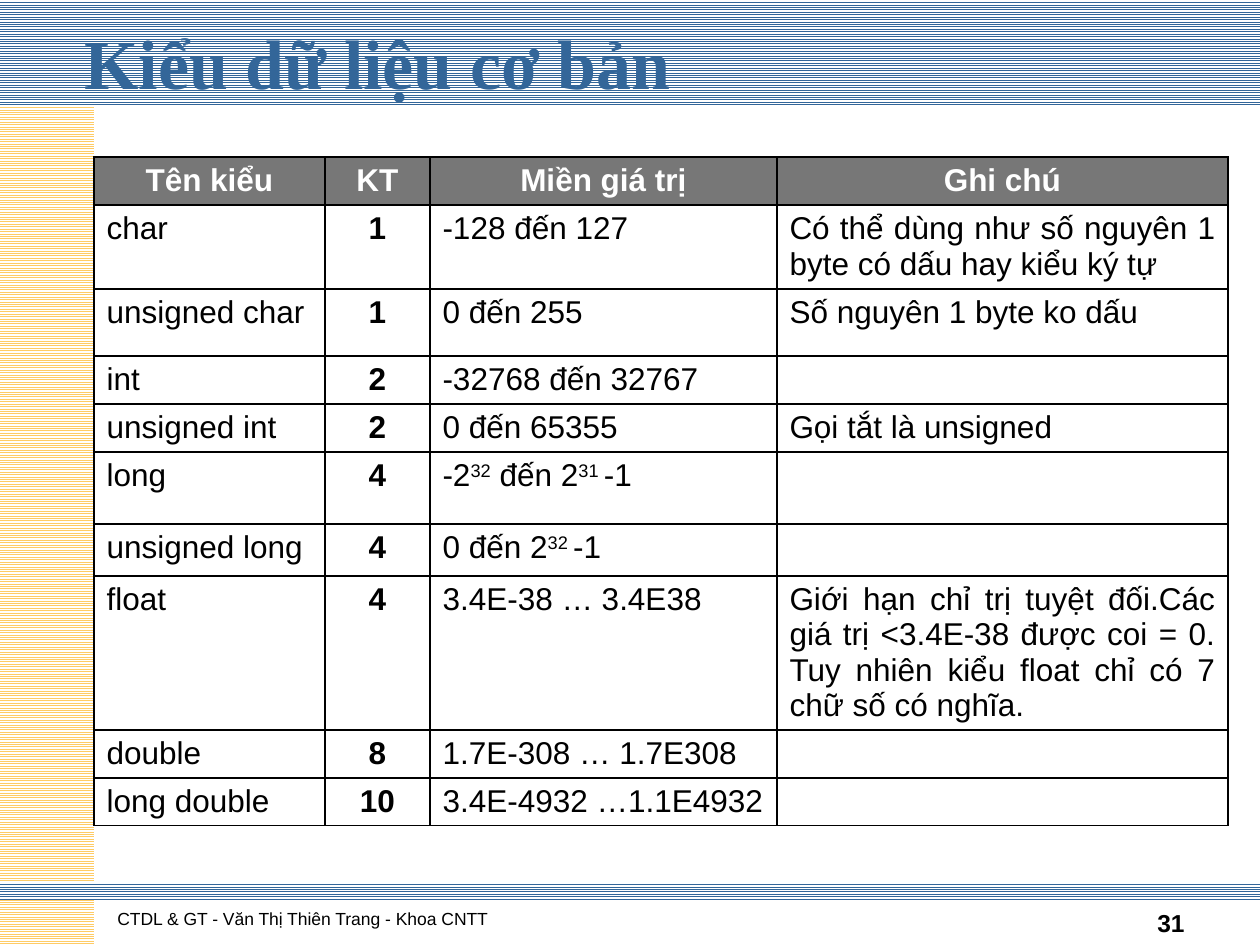
from lxml.etree import SubElement
from pptx import Presentation
from pptx.dml.color import RGBColor
from pptx.enum.dml import MSO_PATTERN
from pptx.enum.shapes import MSO_SHAPE
from pptx.enum.text import MSO_ANCHOR, PP_ALIGN
from pptx.oxml.ns import qn
from pptx.util import Emu, Pt

PX = 914400 / 126  # EMU per pixel
COLORS = {
    "blue": "336699",
    "yellow": "FFCC66",
    "white": "FFFFFF",
    "black": "000000",
    "header": "777777",
}
BODY = {"name": "Arial", "size": Pt(18), "bold": False, "color": "black"}
KEY = {**BODY, "bold": True}
HEAD = {**KEY, "color": "white"}
TITLE = {"name": "Times New Roman", "size": Pt(40), "bold": True, "color": "blue"}
FOOTER = {**BODY, "size": Pt(10)}
NUMBER = {**KEY, "size": Pt(14)}

COLUMNS = [231, 105, 347, 451]
ROWS = [48, 84, 67, 48, 48, 72, 52, 154, 48, 48]
# Text between ^ marks is superscript
TYPES = [
    ("Tên kiểu", "KT", "Miền giá trị", "Ghi chú"),
    ("char", "1", "-128 đến 127",
     "Có thể dùng như số nguyên 1 byte có dấu hay kiểu ký tự"),
    ("unsigned char", "1", "0 đến 255", "Số nguyên 1 byte ko dấu"),
    ("int", "2", "-32768 đến 32767", ""),
    ("unsigned int", "2", "0 đến 65355", "Gọi tắt là unsigned"),
    ("long", "4", "-2^32^ đến 2^31 ^-1", ""),
    ("unsigned long", "4", "0 đến 2^32 ^-1", ""),
    ("float", "4", "3.4E-38 … 3.4E38",
     "Giới hạn chỉ trị tuyệt đối.Các giá trị <3.4E-38 được coi = 0. "
     "Tuy nhiên kiểu float chỉ có 7 chữ số có nghĩa."),
    ("double", "8", "1.7E-308 … 1.7E308", ""),
    ("long double", "10", "3.4E-4932 …1.1E4932", ""),
]


def px(n):
    return Emu(round(n * PX))


def box(*lengths):
    return [px(n) for n in lengths]


def rgb(name):
    return RGBColor.from_string(COLORS[name])


def set_font(font, fmt):
    for key, value in fmt.items():
        if key == "color":
            font.color.rgb = rgb(value)
        else:
            setattr(font, key, value)


def write(tf, text, fmt, align=PP_ALIGN.LEFT):
    p = tf.paragraphs[0]
    p.alignment = align
    set_font(p.font, fmt)
    for i, part in enumerate(text.split("^")):
        if part:
            r = p.add_run()
            r.text = part
            set_font(r.font, fmt)
            if i % 2:
                r._r.get_or_add_rPr().set("baseline", "30000")


def add_band(s, color, *at):
    sp = s.shapes.add_shape(MSO_SHAPE.RECTANGLE, *box(*at))
    sp.shadow.inherit = False
    sp.line.fill.background()
    sp.fill.patterned()
    sp.fill.pattern = MSO_PATTERN.LIGHT_HORIZONTAL
    sp.fill.fore_color.rgb = rgb(color)
    sp.fill.back_color.rgb = rgb("white")


def add_label(s, text, fmt, align, *at):
    tf = s.shapes.add_textbox(*box(*at)).text_frame
    tf.word_wrap = True
    tf.vertical_anchor = MSO_ANCHOR.BOTTOM
    write(tf, text, fmt, align)


def set_title(s, text, *at):
    sp = s.shapes.title
    s.shapes._spTree.append(sp._element)  # in front of the bands
    sp.left, sp.top, sp.width, sp.height = box(*at)
    sp.text_frame.vertical_anchor = MSO_ANCHOR.MIDDLE
    write(sp.text_frame, text, TITLE)


def add_borders(cell):
    tcPr = cell._tc.get_or_add_tcPr()
    for side in ("a:lnL", "a:lnR", "a:lnT", "a:lnB"):
        ln = SubElement(tcPr, qn(side), w=str(Pt(1)))
        fill = SubElement(ln, qn("a:solidFill"))
        SubElement(fill, qn("a:srgbClr"), val=COLORS["black"])


def add_type_table(s, left, top):
    size = box(left, top, sum(COLUMNS), sum(ROWS))
    table = s.shapes.add_table(len(ROWS), len(COLUMNS), *size).table
    table.horz_banding = False
    for column, width in zip(table.columns, COLUMNS):
        column.width = px(width)
    for i, (row, height, texts) in enumerate(zip(table.rows, ROWS, TYPES)):
        row.height = px(height)
        for j, (cell, text) in enumerate(zip(row.cells, texts)):
            add_borders(cell)
            cell.fill.solid()
            cell.fill.fore_color.rgb = rgb("white" if i else "header")
            fmt = HEAD if i == 0 else KEY if j == 1 else BODY
            centred = i == 0 or j == 1
            write(cell.text_frame, text, fmt,
                  PP_ALIGN.CENTER if centred else PP_ALIGN.JUSTIFY)


def main():
    prs = Presentation()
    prs.slide_width, prs.slide_height = box(1260, 945)
    s = prs.slides.add_slide(prs.slide_layouts[5])

    # Striped bands
    add_band(s, "blue", 0, 0, 1261, 105)
    add_band(s, "yellow", 0, 105, 94, 840)
    add_band(s, "blue", -1, 882, 1261, 17)

    # Footer and page number
    add_label(s, "CTDL & GT - Văn Thị Thiên Trang - Khoa CNTT", FOOTER,
              PP_ALIGN.LEFT, 105, 872, 766, 63)
    add_label(s, "31", NUMBER, PP_ALIGN.RIGHT, 903, 881, 294, 63)

    # Title and table of types
    set_title(s, "Kiểu dữ liệu cơ bản", 72, 8, 1134, 108)
    add_type_table(s, 94, 157)

    prs.save("out.pptx")


if __name__ == "__main__":
    main()
